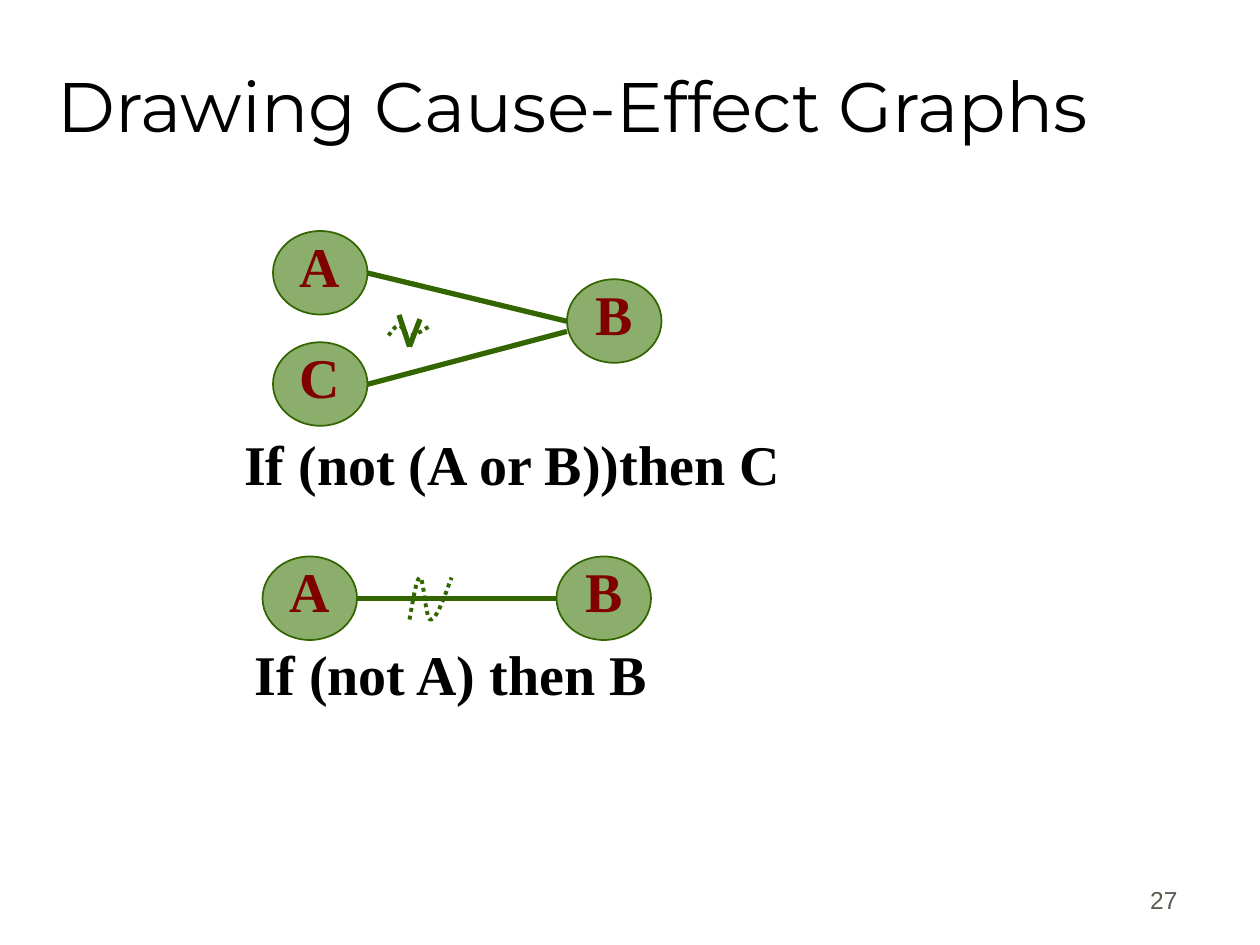
from pptx import Presentation
from pptx.dml.color import RGBColor
from pptx.enum.dml import MSO_LINE
from pptx.enum.shapes import MSO_CONNECTOR, MSO_SHAPE
from pptx.enum.text import MSO_ANCHOR, MSO_AUTO_SIZE, PP_ALIGN
from pptx.oxml.ns import qn
from pptx.util import Pt

LEFT, CENTER, RIGHT = PP_ALIGN.LEFT, PP_ALIGN.CENTER, PP_ALIGN.RIGHT
TOP, MIDDLE, BOTTOM = MSO_ANCHOR.TOP, MSO_ANCHOR.MIDDLE, MSO_ANCHOR.BOTTOM
NO_AUTOFIT = MSO_AUTO_SIZE.NONE
STRAIGHT, OVAL, DOTTED = MSO_CONNECTOR.STRAIGHT, MSO_SHAPE.OVAL, MSO_LINE.ROUND_DOT
GREEN, LIGHT_GREEN, MAROON, BLACK, GREY = "336600", "8BAE6C", "800000", "000000", "5E574E"
SERIF = "Times New Roman"


def color(hex_string):
    return RGBColor.from_string(hex_string)


def write(shape, text, font, size, hex_string, align=LEFT, anchor=MIDDLE,
          before=0, spacing=1.0, bold=False, margin=1.5):
    frame = shape.text_frame
    frame.text = text
    frame.word_wrap = True
    frame.auto_size = NO_AUTOFIT
    frame.vertical_anchor = anchor
    frame.margin_left = frame.margin_right = Pt(margin)
    frame.margin_top = frame.margin_bottom = Pt(3.6)
    para = frame.paragraphs[0]
    para.alignment = align
    para.space_before = Pt(before)
    para.line_spacing = spacing
    span = para.runs[0].font
    span.name, span.size, span.bold = font, Pt(size), bold
    span.color.rgb = color(hex_string)


deck = Presentation()
deck.slide_width, deck.slide_height = Pt(720), Pt(540)
page = deck.slides.add_slide(deck.slide_layouts[5])
shapes = page.shapes

# Title and page number
title = shapes.title
title.left, title.top, title.width, title.height = Pt(31.5), Pt(14.5), Pt(612), Pt(90)
write(title, "Drawing Cause-Effect Graphs", "Montserrat", 40, BLACK, before=5.2)
number = shapes.add_textbox(Pt(530), Pt(490), Pt(150), Pt(36))
write(number, "27", "Arial", 14, GREY, RIGHT, BOTTOM, before=8.8, margin=7.2)

# Nodes
nodes = [("A", 156, 132), ("B", 324, 159.6), ("C", 156, 195.6),
         ("A", 150, 318), ("B", 318, 318)]
for name, left, top in nodes:
    node = shapes.add_shape(OVAL, Pt(left), Pt(top), Pt(54), Pt(47.7))
    node.shadow.inherit = False
    node.fill.solid()
    node.fill.fore_color.rgb = color(LIGHT_GREEN)
    node.line.color.rgb = color(GREEN)
    node.line.width = Pt(1)
    write(node, name, SERIF, 32, MAROON, CENTER, before=7.1, spacing=0.72, bold=True)

# Edges, and the two strokes of the "or" mark
edges = [(210, 156, 324, 183.6), (210, 219.6, 324, 189.4), (204, 342, 318, 342),
         (234, 198, 228, 180), (234, 198, 240, 182.4)]
for ends in edges:
    edge = shapes.add_connector(STRAIGHT, *[Pt(value) for value in ends])
    edge.line.color.rgb = color(GREEN)
    edge.line.width = Pt(3)
    edge._element.spPr.append(edge._element.makeelement(qn("a:effectLst"), {}))

# Dotted "not" waves: three Bezier curves in a unit square, sampled as short segments
wave_controls = [(0, 1), (0.09, 0.5), (0.17, 0), (0.25, 0), (0.34, 0), (0.38, 1),
                 (0.5, 1), (0.64, 1), (0.82, 0.5), (1, 0)]
STEPS = 16
wave_points = [wave_controls[0]]
for first in (0, 3, 6):
    curve = wave_controls[first:first + 4]
    for step in range(1, STEPS + 1):
        t = step / STEPS
        weights = ((1 - t) ** 3, 3 * t * (1 - t) ** 2, 3 * t ** 2 * (1 - t), t ** 3)
        wave_points.append(tuple(sum(w * point[axis] for w, point in zip(weights, curve))
                                 for axis in (0, 1)))

for left, top, width, height in [(222, 186, 24, 5.7), (234, 330, 24, 24)]:
    points = [(Pt(left + x * width), Pt(top + y * height)) for x, y in wave_points]
    builder = shapes.build_freeform(*points[0])
    builder.add_line_segments(points[1:], close=False)
    wave = builder.convert_to_shape()
    wave.shadow.inherit = False
    wave.fill.background()
    wave.line.color.rgb = color(GREEN)
    wave.line.width = Pt(2.25)
    wave.line.dash_style = DOTTED

# Captions
for text, left, top, width in [("If (not (A or B))then C", 138, 252, 348),
                               ("If (not A) then B", 144, 372, 264)]:
    caption = shapes.add_textbox(Pt(left), Pt(top), Pt(width), Pt(45.4))
    write(caption, text, SERIF, 32, BLACK, anchor=TOP, before=18.3, spacing=0.72, bold=True)

deck.save("out.pptx")
